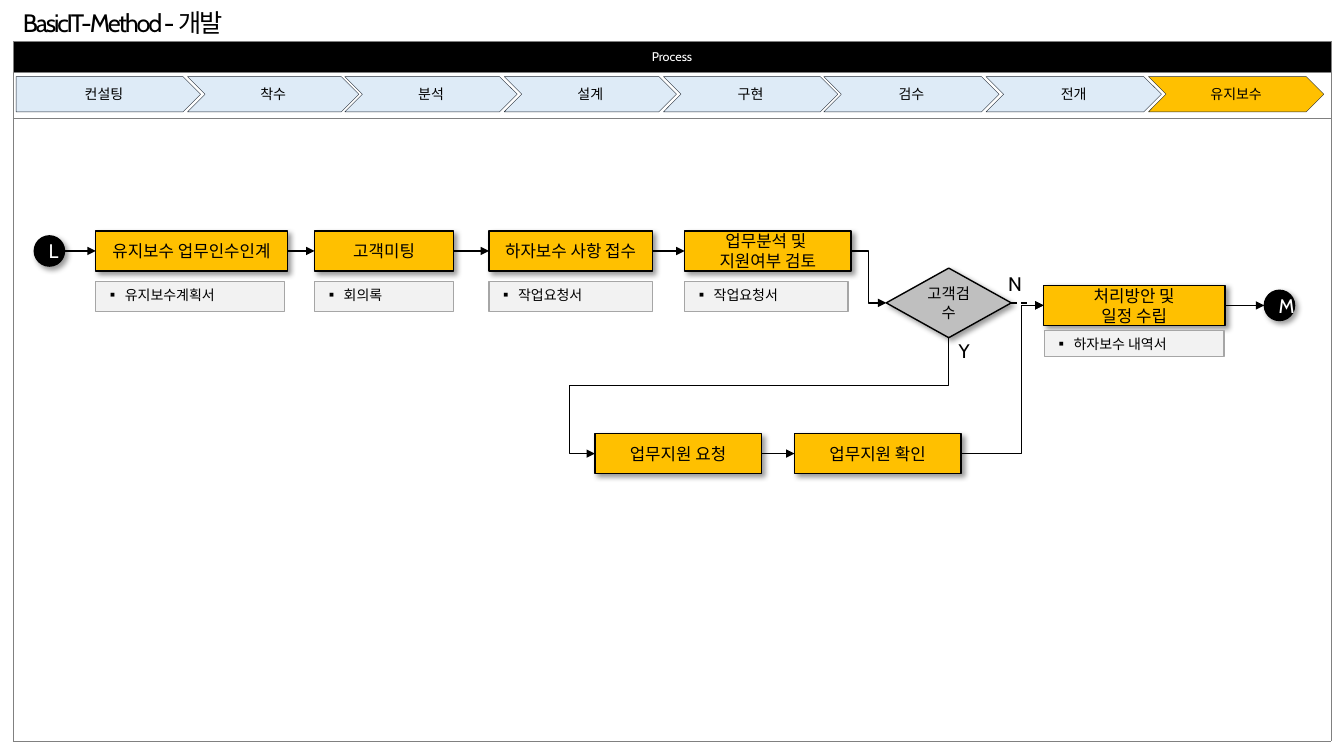
from lxml.etree import SubElement
from pptx import Presentation
from pptx.dml.color import RGBColor
from pptx.enum.dml import MSO_LINE
from pptx.enum.shapes import MSO_CONNECTOR, MSO_SHAPE
from pptx.enum.text import MSO_ANCHOR, MSO_AUTO_SIZE, PP_ALIGN
from pptx.oxml.ns import qn
from pptx.util import Inches, Pt

TITLE = "BasicIT-Method - 개발"
HEADING = "Process"
PHASES = [("컨설팅", 0.16, 1.83), ("착수", 1.86, 1.7), ("분석", 3.42, 1.71), ("설계", 5, 1.71),
          ("구현", 6.58, 1.73), ("검수", 8.17, 1.74), ("전개", 9.78, 1.74), ("유지보수", 11.39, 1.74)]
CURRENT_PHASE = "유지보수"

MAIN_ROW, PLAN_ROW, SUPPORT_ROW = 2.29, 2.83, 4.3
STEP_HEIGHT, CIRCLE = 0.4, 0.3
STEPS = {
    "handover": (["유지보수 업무인수인계"], 0.95, MAIN_ROW, 1.9),
    "meeting": (["고객미팅"], 3.12, MAIN_ROW, 1.38),
    "intake": (["하자보수 사항 접수"], 4.85, MAIN_ROW, 1.62),
    "review": (["업무분석 및 ", "지원여부 검토"], 6.79, MAIN_ROW, 1.65),
    "request": (["업무지원 요청"], 5.9, SUPPORT_ROW, 1.65),
    "confirm": (["업무지원 확인"], 7.88, SUPPORT_ROW, 1.65),
    "plan": (["처리방안 및", "일정 수립"], 10.35, PLAN_ROW, 1.8),
}
TERMINALS = {"start": ("L", 0.34, MAIN_ROW), "end": ("M", 12.54, PLAN_ROW)}
DECISION = ("고객검수", 8.79, 2.66, 1.24, 0.69)
ANSWERS = [("Y", 9.41, 3.31, 0.32), ("N", 9.9, 2.65, 0.35)]
OUTPUTS = [("유지보수계획서", 0.95, 2.79, 1.87, 0.3), ("회의록", 3.12, 2.79, 1.38, 0.3),
           ("작업요청서", 4.85, 2.79, 1.62, 0.3), ("작업요청서", 6.79, 2.79, 1.62, 0.3),
           ("하자보수 내역서", 10.36, 3.28, 1.78, 0.26)]
ARROWS = [("start", "handover"), ("handover", "meeting"), ("meeting", "intake"),
          ("intake", "review"), ("request", "confirm"), ("plan", "end")]
ELBOWS = [("review", "decision", 0.5, False), ("decision", "plan", 0.5, True),
          ("confirm", "plan", 0.733, False)]
BOTTOM_SITE, LEFT_SITE, RIGHT_SITE = 2, 1, 3
CIRCLE_LEFT_SITE, CIRCLE_RIGHT_SITE = 2, 6

BLACK, WHITE, AMBER = "000000", "FFFFFF", "FFC000"
LATIN, KOREAN = "Cabin", "Noto Sans CJK KR"

deck = Presentation()
deck.slide_width, deck.slide_height = Inches(13.33), Inches(7.5)
slide = deck.slides.add_slide(deck.slide_layouts[6])


def color(value):
    return RGBColor.from_string(value)


def element(parent, tag, **attributes):
    return SubElement(parent, qn(tag), {key: str(value) for key, value in attributes.items()})


def write(paragraph, text, size, ink=BLACK, latin=LATIN, align=PP_ALIGN.CENTER):
    paragraph.alignment = align
    run = paragraph.add_run()
    run.text = text
    run.font.size, run.font.name = Pt(size), latin
    run.font.color.rgb = color(ink)
    element(run.font._element, "a:ea", typeface=KOREAN)
    return run


def cast_shadow(shape):
    effects = shape._element.spPr.find(qn("a:effectLst"))
    shadow = element(effects, "a:outerShdw", blurRad=Pt(4), dist=Pt(3), dir=45 * 60000,
                     algn="tl", rotWithShape=0)
    element(element(shadow, "a:srgbClr", val=BLACK), "a:alpha", val=40000)


def add_box(kind, area, fill, outline=BLACK, weight=1, lines=(), size=12, ink=BLACK, raised=False):
    shape = slide.shapes.add_shape(kind, *map(Inches, area))
    shape.shadow.inherit = False
    shape.fill.solid()
    shape.fill.fore_color.rgb = color(fill)
    shape.line.color.rgb = color(outline)
    shape.line.width = Pt(weight)
    frame = shape.text_frame
    frame.word_wrap, frame.vertical_anchor = True, MSO_ANCHOR.MIDDLE
    for index, line in enumerate(lines):
        paragraph = frame.add_paragraph() if index else frame.paragraphs[0]
        write(paragraph, line, size, ink)
    if raised:
        cast_shadow(shape)
    return shape


def add_label(text, left, top, width, height, size):
    label = slide.shapes.add_textbox(*map(Inches, (left, top, width, height)))
    label.text_frame.word_wrap = False
    label.text_frame.auto_size = MSO_AUTO_SIZE.SHAPE_TO_FIT_TEXT
    return write(label.text_frame.paragraphs[0], text, size, align=PP_ALIGN.LEFT)


def add_arrow(kind, start=(0, 0), end=(0, 0), bends=(), dashed=False):
    arrow = slide.shapes.add_connector(kind, *map(Inches, (*start, *end)))
    arrow.line.color.rgb = color(BLACK)
    arrow.line.width = Pt(1)
    if dashed:
        arrow.line.dash_style = MSO_LINE.DASH
    properties = arrow._element.spPr
    element(properties.find(qn("a:ln")), "a:tailEnd", type="triangle")
    element(properties, "a:effectLst")
    guides = properties.find(qn("a:prstGeom")).find(qn("a:avLst"))
    for number, bend in enumerate(bends, 1):
        element(guides, "a:gd", name=f"adj{number}", fmla=f"val {round(bend * 100000)}")
    return arrow


def add_frame():
    rows = [0.31, 0.45, 6.18]
    graphic = slide.shapes.add_table(3, 1, *map(Inches, (0.13, 0.41, 13.07, sum(rows))))
    table = graphic.table
    table.first_row = table.horz_banding = False
    for row, height in zip(table.rows, rows):
        row.height = Inches(height)
        cell = row.cells[0]
        cell.vertical_anchor = MSO_ANCHOR.MIDDLE
        properties = cell._tc.get_or_add_tcPr()
        for side in ("a:lnL", "a:lnR", "a:lnT", "a:lnB"):
            border = element(properties, side, w=Pt(0.5))
            element(element(border, "a:solidFill"), "a:srgbClr", val="808080")
        cell.fill.background()
    header = table.cell(0, 0)
    header.fill.solid()
    header.fill.fore_color.rgb = color(BLACK)
    write(header.text_frame.paragraphs[0], HEADING, 9, WHITE)


def add_output(text, *area):
    box = add_box(MSO_SHAPE.RECTANGLE, area, "F2F2F2", "A6A6A6")
    box.text_frame.vertical_anchor = MSO_ANCHOR.TOP
    paragraph = box.text_frame.paragraphs[0]
    properties = paragraph._p.get_or_add_pPr()
    properties.set("marL", str(Inches(0.19)))
    properties.set("indent", str(-Inches(0.19)))
    element(properties, "a:buFont", typeface=KOREAN)
    element(properties, "a:buChar", char="▪")
    write(paragraph, text, 10, latin=KOREAN, align=PP_ALIGN.LEFT)


def add_yes_branch(start, end, bends):
    across, down = start[0] - end[0], end[1] - start[1]
    center_x, center_y = (start[0] + end[0]) / 2, (start[1] + end[1]) / 2
    arrow = add_arrow(MSO_CONNECTOR.ELBOW, (center_x - down / 2, center_y - across / 2),
                      (center_x + down / 2, center_y + across / 2), bends)
    properties = arrow._element.spPr
    properties.find(qn("a:xfrm")).set("rot", str(90 * 60000))
    properties.find(qn("a:prstGeom")).set("prst", "bentConnector4")


add_frame()
for index, (phase, left, width) in enumerate(PHASES):
    add_box(MSO_SHAPE.CHEVRON if index else MSO_SHAPE.PENTAGON, (left, 0.76, width, 0.35),
            AMBER if phase == CURRENT_PHASE else "DEEBF7", "222A35", 0.25, [phase], 10)

nodes = {}
for key, (lines, left, top, width) in STEPS.items():
    nodes[key] = add_box(MSO_SHAPE.RECTANGLE, (left, top, width, STEP_HEIGHT), AMBER,
                         lines=lines, raised=True)
for key, (letter, left, row) in TERMINALS.items():
    top = row + (STEP_HEIGHT - CIRCLE) / 2
    nodes[key] = add_box(MSO_SHAPE.OVAL, (left, top, CIRCLE, CIRCLE), BLACK,
                         lines=[letter], size=14, ink=WHITE, raised=True)
nodes["decision"] = add_box(MSO_SHAPE.DIAMOND, DECISION[1:], "BFBFBF",
                            lines=DECISION[:1], size=11, raised=True)
for output in OUTPUTS:
    add_output(*output)

links = [(MSO_CONNECTOR.STRAIGHT, *pair, (), False) for pair in ARROWS]
links += [(MSO_CONNECTOR.ELBOW, source, target, (bend,), dashed)
          for source, target, bend, dashed in ELBOWS]
for kind, source, target, bends, dashed in links:
    arrow = add_arrow(kind, bends=bends, dashed=dashed)
    arrow.begin_connect(nodes[source], RIGHT_SITE)
    arrow.end_connect(nodes[target], LEFT_SITE)
    if source in TERMINALS:
        arrow._element.find(".//" + qn("a:stCxn")).set("idx", str(CIRCLE_RIGHT_SITE))
    if target in TERMINALS:
        arrow._element.find(".//" + qn("a:endCxn")).set("idx", str(CIRCLE_LEFT_SITE))
add_yes_branch((9.41, 3.35), (5.9, 4.5), (0.413, 1.071))

for answer, left, top, width in ANSWERS:
    add_label(answer, left, top, width, 0.34, 14)
title = add_label(TITLE, 0.13, 0.02, 2.27, 0.4, 18)
title.font._element.set("spc", "-150")

deck.save("out.pptx")
